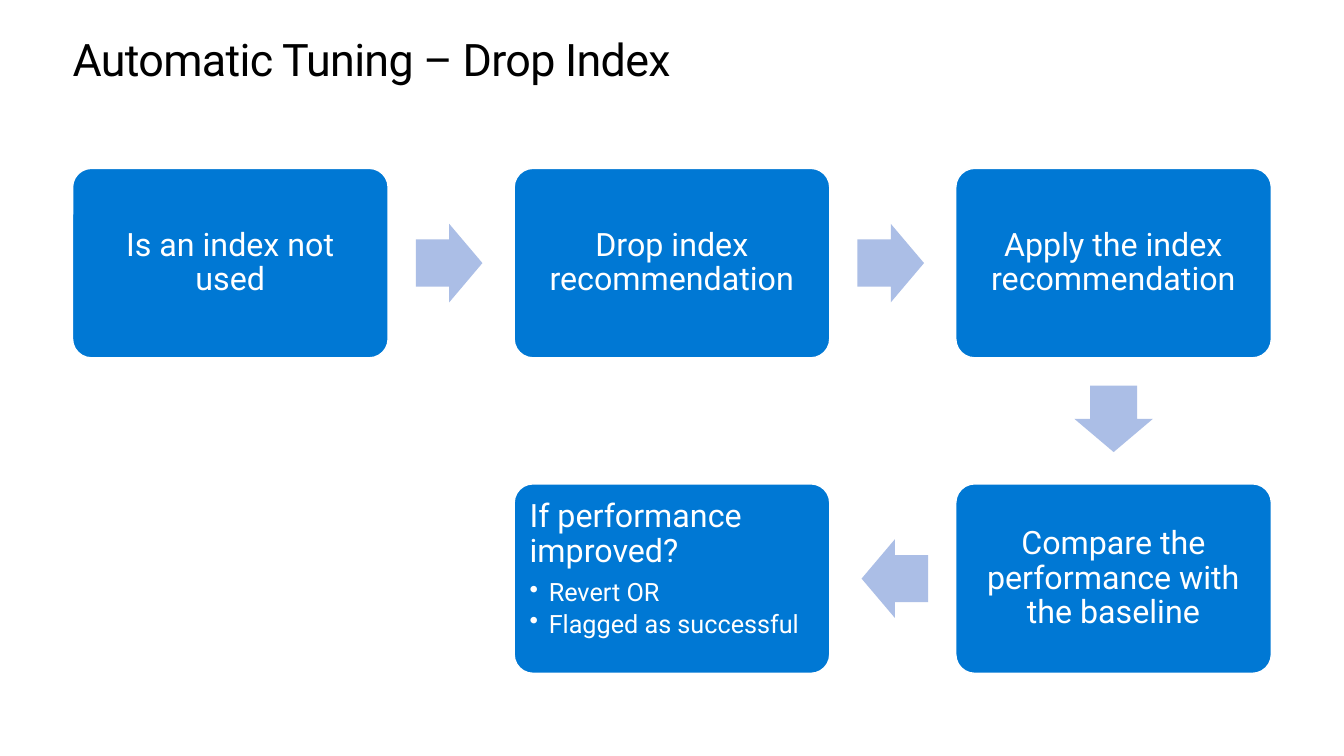
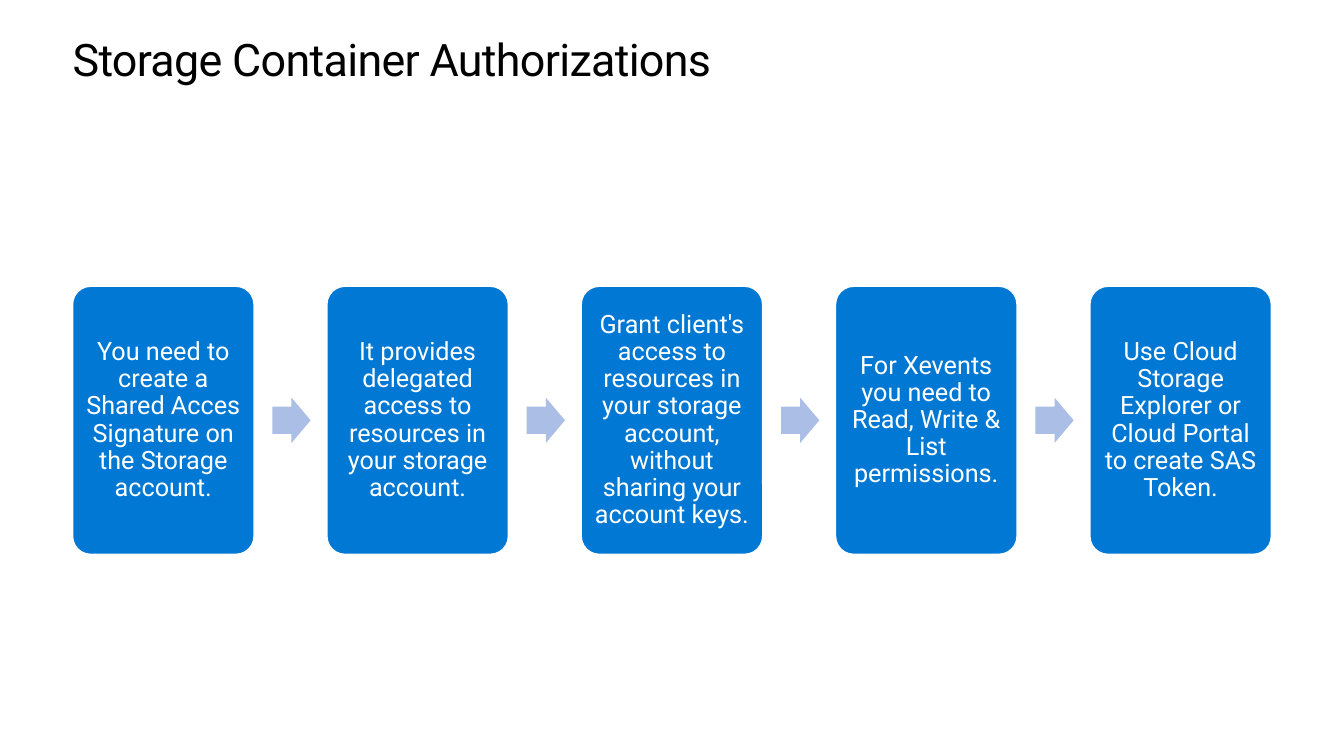
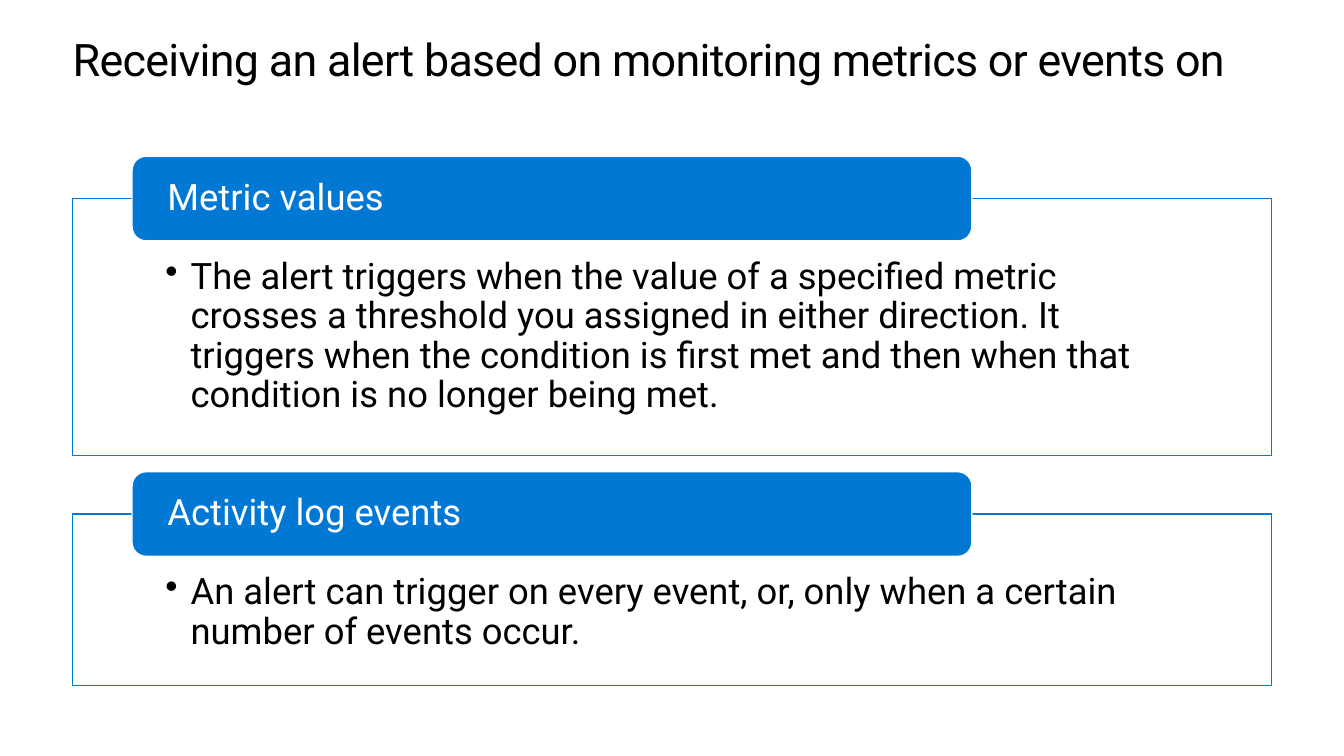
import math
from dataclasses import dataclass

from lxml import etree
from pptx import Presentation
from pptx.dml.color import RGBColor
from pptx.enum.shapes import MSO_SHAPE
from pptx.enum.text import MSO_ANCHOR, PP_ALIGN
from pptx.oxml.ns import qn
from pptx.util import Inches, Pt

ROUNDED = MSO_SHAPE.ROUNDED_RECTANGLE
RECTANGLE = MSO_SHAPE.RECTANGLE
RIGHT_ARROW = MSO_SHAPE.RIGHT_ARROW
TOP, MIDDLE = MSO_ANCHOR.TOP, MSO_ANCHOR.MIDDLE
LEFT, CENTER = PP_ALIGN.LEFT, PP_ALIGN.CENTER

SLIDE_W, SLIDE_H = 13.33, 7.5
MARGIN = 0.72
CONTENT_W = SLIDE_W - 2 * MARGIN
FONT = "Roboto"
COLORS = {
    "white": "FFFFFF",
    "black": "000000",
    "blue": "0078D4",
    "arrow": "ABBEE6",
}

HEADER_X, HEADER_W, HEADER_H = 1.31, 8.33, 0.84
PANEL_TOP, PANEL_GAP = 1.97, 0.58


@dataclass
class Flow:
    columns: int
    top: float
    card_w: float
    card_h: float
    row_pitch: float
    arrow_w: float
    arrow_h: float
    arrow_lag: float
    inset: float
    size: int

    def cell(self, column, row):
        pitch = (CONTENT_W - self.card_w) / (self.columns - 1)
        return MARGIN + column * pitch, self.top + row * self.row_pitch

    def center(self, column, row):
        x, y = self.cell(column, row)
        return x + self.card_w / 2, y + self.card_h / 2


TUNING = Flow(3, 1.67, 3.13, 1.88, 3.13, 0.66, 0.78, 0.02, 0.1, 23)
STORAGE = Flow(5, 2.84, 1.8, 2.66, 0, 0.38, 0.45, -0.01, 0.07, 18)

TUNING_STEPS = [
    (0, 0, "Is an index not used"),
    (1, 0, "Drop index recommendation"),
    (2, 0, "Apply the index recommendation"),
    (2, 1, "Compare the performance with the baseline"),
    (1, 1, "If performance improved?"),
]
TUNING_OUTCOMES = ["Revert OR", "Flagged as successful"]
STORAGE_STEPS = [
    "You need to create a Shared Acces Signature on the Storage account.",
    "It provides delegated access to resources in your storage account.",
    "Grant client's access to resources in your storage account, "
    "without sharing your account keys.",
    "For Xevents you need to Read, Write & List permissions.",
    "Use Cloud Storage Explorer or Cloud Portal to create SAS Token.",
]
ALERTS = [
    ("Metric values", 2.55,
     "The alert triggers when the value of a specified metric crosses a "
     "threshold you assigned in either direction. It triggers when the "
     "condition is first met and then when that condition is no longer "
     "being met."),
    ("Activity log events", 1.7,
     "An alert can trigger on every event, or, only when a certain number "
     "of events occur."),
]


def color(name):
    return RGBColor.from_string(COLORS[name])


def add_box(slide, kind, x, y, w, h, fill, line=None, corner=None):
    box = slide.shapes.add_shape(
        kind, Inches(x), Inches(y), Inches(w), Inches(h))
    box.shadow.inherit = False
    box.fill.solid()
    box.fill.fore_color.rgb = color(fill)
    if line:
        box.line.color.rgb = color(line)
        box.line.width = Pt(1)
    else:
        box.line.fill.background()
    if corner is not None:
        box.adjustments[0] = corner
    return box


def set_frame(box, insets, anchor):
    frame = box.text_frame
    frame.word_wrap = True
    frame.vertical_anchor = anchor
    (frame.margin_left, frame.margin_top,
     frame.margin_right, frame.margin_bottom) = map(Inches, insets)
    return frame


def write(paragraph, text, size, ink="white", align=LEFT, spacing=0.9,
          after=0, hang=None):
    paragraph.text = text
    paragraph.alignment = align
    if hang:
        properties = paragraph._p.get_or_add_pPr()
        properties.set("marL", str(Inches(hang)))
        properties.set("indent", str(-Inches(hang)))
        etree.SubElement(properties, qn("a:buChar")).set("char", "•")
    paragraph.line_spacing = spacing
    paragraph.space_after = Pt(after)
    for run in paragraph.runs:
        run.font.name = FONT
        run.font.size = Pt(size)
        run.font.color.rgb = color(ink)


def add_titled_slide(deck, title):
    slide = deck.slides.add_slide(deck.slide_layouts[6])
    heading = slide.shapes.add_textbox(
        Inches(MARGIN), Inches(0.35), Inches(CONTENT_W), Inches(0.5))
    line = set_frame(heading, (0, 0, 0, 0), TOP).paragraphs[0]
    write(line, title, 32, "black", spacing=Pt(36.2))
    line.runs[0]._r.get_or_add_rPr().set("spc", "-50")
    return slide


def add_card(slide, flow, cell, text, outcomes=()):
    card = add_box(slide, ROUNDED, *flow.cell(*cell), flow.card_w,
                   flow.card_h, "blue", "white", 0.1)
    frame = set_frame(card, [flow.inset] * 4, TOP if outcomes else MIDDLE)
    write(frame.paragraphs[0], text, flow.size,
          align=LEFT if outcomes else CENTER, after=8 if outcomes else 0)
    for outcome in outcomes:
        write(frame.add_paragraph(), outcome, 18, after=3, hang=0.19)


def add_arrow(slide, flow, start, end):
    (x1, y1), (x2, y2) = flow.center(*start), flow.center(*end)
    angle = math.atan2(y2 - y1, x2 - x1)
    x = (x1 + x2) / 2 - flow.arrow_lag * math.cos(angle)
    y = (y1 + y2) / 2 - flow.arrow_lag * math.sin(angle)
    arrow = add_box(slide, RIGHT_ARROW, x - flow.arrow_w / 2,
                    y - flow.arrow_h / 2, flow.arrow_w, flow.arrow_h, "arrow")
    arrow.adjustments[0] = 0.6
    arrow.adjustments[1] = 0.5
    arrow.rotation = math.degrees(angle)


def add_flow(slide, flow, steps, outcomes=()):
    cells = [(column, row) for column, row, _ in steps]
    for cell, (_, _, text) in zip(cells, steps):
        add_card(slide, flow, cell, text,
                 outcomes if cell == cells[-1] else ())
    for start, end in zip(cells, cells[1:]):
        add_arrow(slide, flow, start, end)


def add_alert(slide, top, height, name, description):
    panel = add_box(slide, RECTANGLE, MARGIN, top, CONTENT_W, height,
                    "white", "blue")
    body = set_frame(panel, (0.92, 0.59, 0.92, 0.2), TOP)
    write(body.paragraphs[0], description, 26, "black", hang=0.25)
    header = add_box(slide, ROUNDED, HEADER_X, top - HEADER_H / 2, HEADER_W,
                     HEADER_H, "blue", "white")
    label = set_frame(header, (0.31, 0, 0.31, 0), MIDDLE)
    write(label.paragraphs[0], name, 26)


def main():
    deck = Presentation()
    deck.slide_width, deck.slide_height = Inches(SLIDE_W), Inches(SLIDE_H)

    tuning = add_titled_slide(deck, "Automatic Tuning – Drop Index")
    add_flow(tuning, TUNING, TUNING_STEPS, TUNING_OUTCOMES)

    storage = add_titled_slide(deck, "Storage Container Authorizations")
    add_flow(storage, STORAGE,
             [(column, 0, text) for column, text in enumerate(STORAGE_STEPS)])

    alerts = add_titled_slide(
        deck, "Receiving an alert based on monitoring metrics or events on")
    top = PANEL_TOP
    for name, height, description in ALERTS:
        add_alert(alerts, top, height, name, description)
        top += height + PANEL_GAP

    deck.save("out.pptx")


if __name__ == "__main__":
    main()
